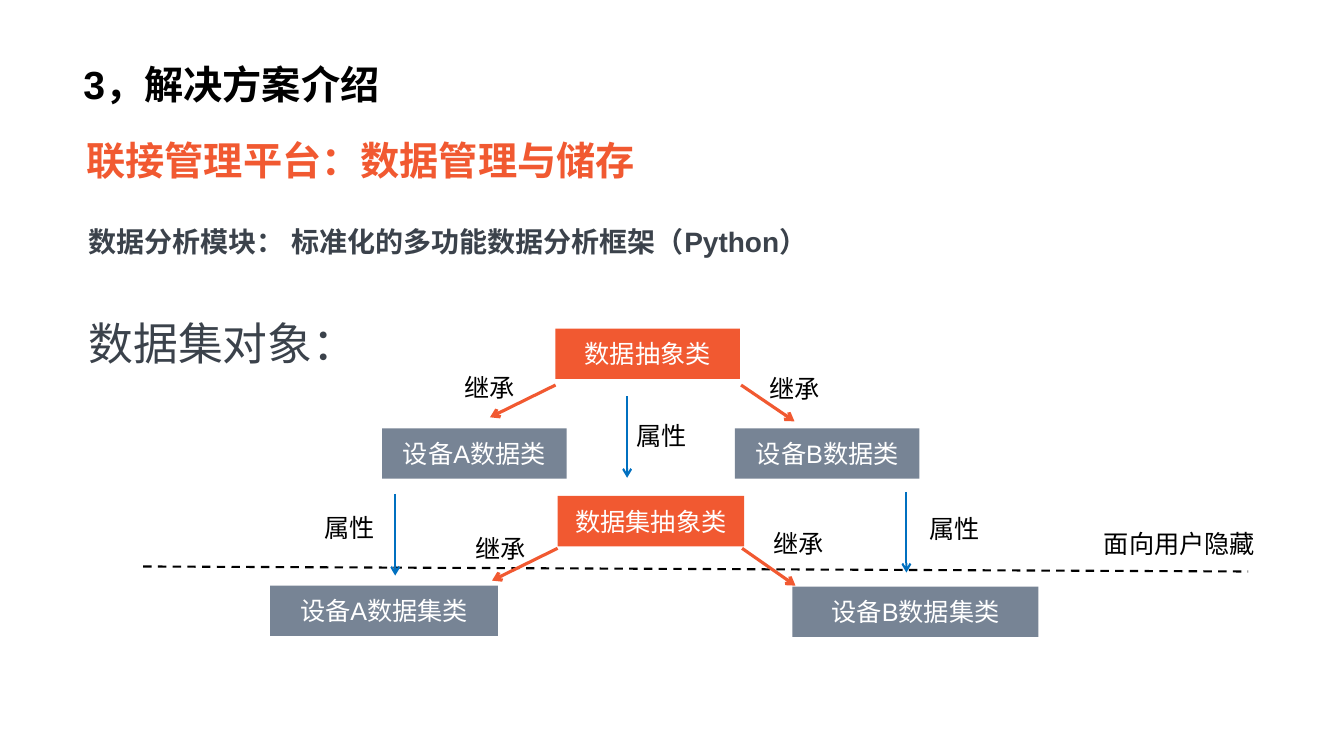
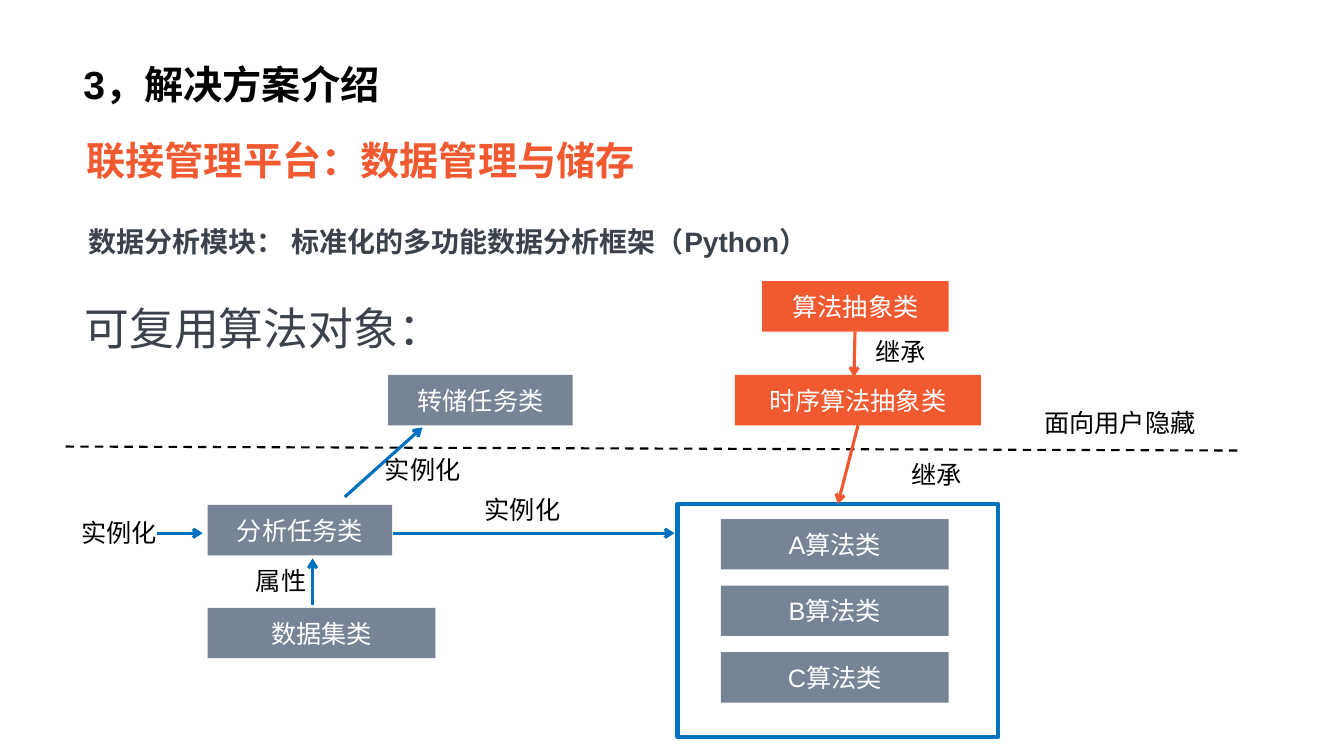
"""Build two slides on the data analysis framework and its class diagrams."""
from lxml import etree
from pptx import Presentation
from pptx import util as u
from pptx.dml.color import RGBColor
from pptx.enum import dml, shapes, text
from pptx.oxml.ns import qn

PX = 9144
BLACK = RGBColor(0x00, 0x00, 0x00)
WHITE = RGBColor(0xFF, 0xFF, 0xFF)
ORANGE = RGBColor(0xF1, 0x59, 0x31)
SLATE = RGBColor(0x77, 0x84, 0x95)
BLUE = RGBColor(0x00, 0x70, 0xC0)
INK = RGBColor(0x3B, 0x42, 0x4B)

FONT = "Arial"
BOX_H, LABEL_H = 50, 40
LABEL = dict(size=18, color=BLACK)
BOX = dict(size=18, color=WHITE)
TOPIC = dict(size=32, color=INK)

HEADINGS = [
    ("数据分析模块： 标准化的多功能数据分析框架（Python）", (78, 201, 1142, 60),
     dict(size=20, color=INK, bold=True), 1.5),
    ("联接管理平台：数据管理与储存", (76, 130, 1040, 104),
     dict(size=28, color=ORANGE, bold=True), 1),
    ("3，解决方案介绍", (73, 60, 1187, 112),
     dict(size=28, color=BLACK, bold=True), 0.9),
]

ALGORITHMS = [(f"{name}算法类", 715, 515 + 66 * i, 226, SLATE) for i, name in enumerate("ABC")]

SLIDES = [
    dict(
        topic=("数据集对象：", (78, 308, 286, 64)),
        divider=(142, 562, 1238, 567),
        boxes=[
            ("数据抽象类", 551, 326, 183, ORANGE),
            ("数据集抽象类", 553, 492, 185, ORANGE),
            ("设备A数据类", 379, 425, 183, SLATE),
            ("设备B数据类", 729, 425, 183, SLATE),
            ("设备A数据集类", 268, 581, 226, SLATE),
            ("设备B数据集类", 786, 582, 244, SLATE),
        ],
        frames=[],
        arrows=[
            ((551, 382, 486, 414), ORANGE, 2.25),
            ((735, 382, 788, 418), ORANGE, 2.25),
            ((553, 544, 488, 576), ORANGE, 2.25),
            ((736, 544, 789, 581), ORANGE, 2.25),
            ((622, 393, 622, 474), BLUE, 1.5),
            ((392, 490, 392, 571), BLUE, 1.5),
            ((899, 488, 899, 568), BLUE, 1.5),
        ],
        labels=[
            ("继承", 451, 364, 89), ("继承", 753, 365, 89),
            ("继承", 462, 524, 89), ("继承", 757, 519, 89),
            ("属性", 621, 412, 89), ("属性", 312, 503, 89),
            ("属性", 912, 504, 89), ("面向用户隐藏", 1085, 519, 196),
        ],
    ),
    dict(
        topic=("可复用算法对象：", (74, 293, 1139, 118)),
        divider=(65, 443, 1231, 447),
        boxes=[
            ("算法抽象类", 756, 279, 185, ORANGE),
            ("时序算法抽象类", 729, 372, 244, ORANGE),
            ("转储任务类", 385, 372, 183, SLATE),
            ("分析任务类", 206, 501, 183, SLATE),
            ("数据集类", 206, 603, 226, SLATE),
        ] + ALGORITHMS,
        frames=[(672, 500, 318, 231)],
        arrows=[
            ((848, 329, 847, 374), ORANGE, 2.25),
            ((851, 422, 831, 500), ORANGE, 2.25),
            ((156, 529, 201, 529), BLUE, 2.25),
            ((310, 600, 310, 554), BLUE, 2.25),
            ((390, 529, 669, 529), BLUE, 2.25),
            ((342, 493, 419, 424), BLUE, 2.25),
        ],
        labels=[
            ("继承", 858, 329, 89), ("继承", 894, 451, 89),
            ("实例化", 471, 486, 126), ("实例化", 71, 508, 126),
            ("实例化", 372, 446, 126), ("属性", 244, 556, 126),
            ("面向用户隐藏", 1026, 399, 196),
        ],
    ),
]


def px(values):
    return [v * PX for v in values]


def write(tf, words, size, color, bold=False, **paragraph):
    tf.word_wrap = True
    p = tf.paragraphs[0]
    for key, value in paragraph.items():
        setattr(p, key, value)
    r = p.add_run()
    r.text = words
    for key, value in dict(name=FONT, size=u.Pt(size), bold=bold).items():
        setattr(r.font, key, value)
    r.font.color.rgb = color


def add_text(s, words, area, style, spacing=1):
    sp = s.shapes.add_textbox(*px(area))
    write(sp.text_frame, words, **style, line_spacing=spacing)


def add_rect(s, area):
    sp = s.shapes.add_shape(shapes.MSO_SHAPE.RECTANGLE, *px(area))
    sp.shadow.inherit = False
    return sp


def add_box(s, words, x, y, w, color):
    sp = add_rect(s, (x, y, w, BOX_H))
    sp.fill.solid()
    sp.fill.fore_color.rgb = color
    sp.line.fill.background()
    sp.text_frame.vertical_anchor = text.MSO_ANCHOR.MIDDLE
    write(sp.text_frame, words, **BOX, alignment=text.PP_ALIGN.CENTER)


def add_frame(s, area):
    sp = add_rect(s, area)
    sp.fill.background()
    sp.line.color.rgb = BLUE
    sp.line.width = u.Pt(3)


def add_line(s, ends, color, width, dashed=False):
    c = s.shapes.add_connector(shapes.MSO_CONNECTOR.STRAIGHT, *px(ends))
    c.line.color.rgb = color
    c.line.width = u.Pt(width)
    if dashed:
        c.line.dash_style = dml.MSO_LINE.DASH
    else:
        etree.SubElement(c.line._get_or_add_ln(), qn("a:tailEnd"), type="arrow")
    etree.SubElement(c._element.spPr, qn("a:effectLst"))


def add_slide(prs, content):
    s = prs.slides.add_slide(prs.slide_layouts[6])
    add_line(s, content["divider"], BLACK, 1.5, dashed=True)
    for heading in HEADINGS:
        add_text(s, *heading)
    add_text(s, *content["topic"], TOPIC)
    for box in content["boxes"]:
        add_box(s, *box)
    for frame in content["frames"]:
        add_frame(s, frame)
    for arrow in content["arrows"]:
        add_line(s, *arrow)
    for words, x, y, w in content["labels"]:
        add_text(s, words, (x, y, w, LABEL_H), LABEL)


def main():
    prs = Presentation()
    prs.slide_width, prs.slide_height = px((1333, 750))
    for content in SLIDES:
        add_slide(prs, content)
    prs.save("out.pptx")


if __name__ == "__main__":
    main()
